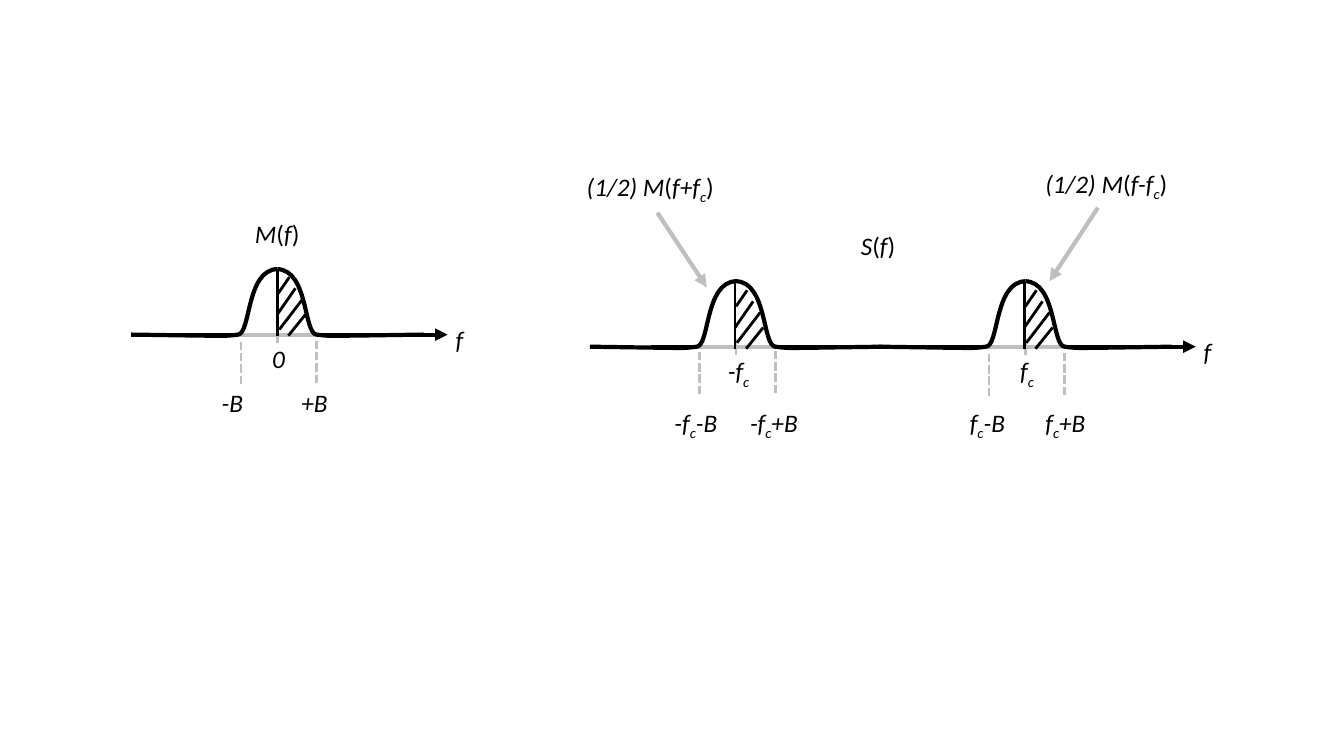
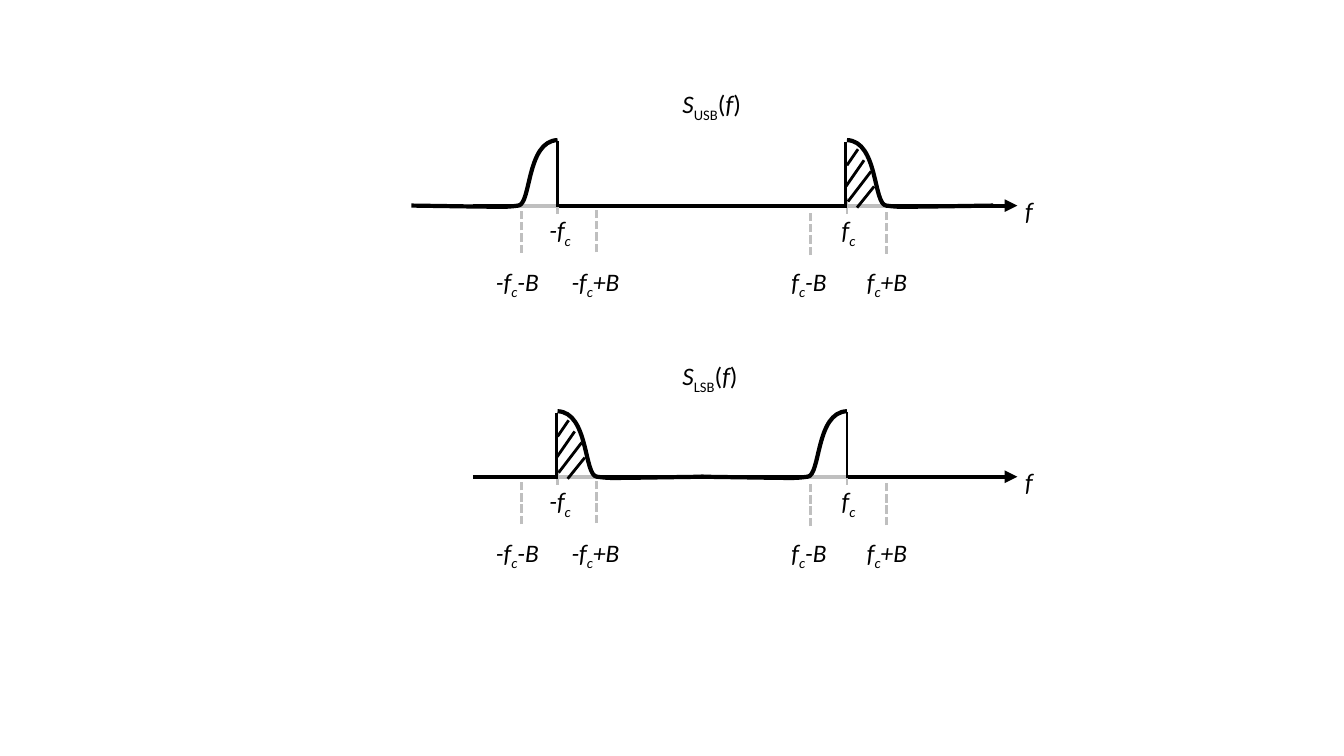
from lxml import etree
from pptx import Presentation
from pptx.dml.color import RGBColor
from pptx.enum import dml, shapes, text
from pptx.oxml import ns
from pptx.util import Inches, Pt

BLACK = RGBColor(0, 0, 0)
GRAY = RGBColor(0xBF, 0xBF, 0xBF)
LEFT, RIGHT = -1, 1
LABEL_HEIGHT = 0.4

# Half of a lobe, as distances from its centre (outwards, downwards)
OUTLINE = [(1.45, 0), (0.77, 0.01), (0.39, 0), (0, -0.65)]
# Bézier control points of the last two outline segments
CONTROLS = [
    [(0.59, 0.01), (0.53, 0.02)],
    [(0.26, -0.01), (0.31, -0.64)],
]
HATCHING = [
    ((0.01, -0.41), (0.12, -0.57)),
    ((0, -0.2), (0.18, -0.46)),
    ((0.02, -0.05), (0.25, -0.35)),
    ((0.11, 0.01), (0.28, -0.2)),
]

# Labels are lists of (words, style); the plain style is italic
F = ("f", "")
OPEN, CLOSE = ("(", "upright"), (")", "upright")
SUB_C = ("c", "sub")
ZERO = [("0", "")]
MINUS_FC = [("-f", ""), SUB_C]
PLUS_FC = [F, SUB_C]


def draw_line(page, start, end, color=BLACK, width=2, dash=None, arrow=False):
    ends = [Inches(value) for value in (*start, *end)]
    connector = page.shapes.add_connector(shapes.MSO_CONNECTOR.STRAIGHT, *ends)
    connector.line.color.rgb = color
    connector.line.width = Pt(width)
    if dash:
        connector.line.dash_style = dash
    if arrow:
        outline = connector.line._get_or_add_ln()
        etree.SubElement(outline, ns.qn("a:tailEnd"), type="triangle")
    etree.SubElement(connector._element.spPr, ns.qn("a:effectLst"))


def write(page, left, top, width, label, wrap=False):
    box = page.shapes.add_textbox(
        Inches(left), Inches(top), Inches(width), Inches(LABEL_HEIGHT))
    box.text_frame.word_wrap = wrap
    box.text_frame.auto_size = text.MSO_AUTO_SIZE.SHAPE_TO_FIT_TEXT
    para = box.text_frame.paragraphs[0]
    for words, style in label:
        span = para.add_run()
        span.text = words
        formats = {"name": "Calibri", "size": Pt(18), "italic": "upright" not in style}
        for name, value in formats.items():
            setattr(span.font, name, value)
        span.font.color.rgb = BLACK
        if "sub" in style:
            span._r.get_or_add_rPr().set("baseline", "-25000")


deck = Presentation()
deck.slide_width, deck.slide_height = Inches(13.33), Inches(7.5)
spectra_page, sideband_page = [
    deck.slides.add_slide(deck.slide_layouts[6]) for _ in range(2)]

# Each lobe: centre, carrier label, sides drawn
BOTH = (LEFT, RIGHT)
spectra = [
    {"page": spectra_page, "axis": (1.3, 4.44, 3.32),
     "title": (2.43, 2.12, 0.65, [("M", ""), OPEN, F, CLOSE]),
     "lobes": [(2.75, ZERO, BOTH)]},
    {"page": spectra_page, "axis": (6.46, 11.86, 3.44),
     "title": (8.44, 2.24, 0.55, [("S", ""), OPEN, F, CLOSE]),
     "lobes": [(7.3, MINUS_FC, BOTH), (10.17, PLUS_FC, BOTH)]},
    {"page": sideband_page, "axis": (4.69, 10.09, 2.04),
     "title": (6.67, 0.83, 0.82,
               [("S", ""), ("USB", "upright sub"), OPEN, F, CLOSE]),
     "lobes": [(5.53, MINUS_FC, (LEFT,)), (8.4, PLUS_FC, (RIGHT,))]},
    {"page": sideband_page, "axis": (4.69, 10.09, 4.73),
     "title": (6.67, 3.53, 0.79,
               [("S", ""), ("LSB", "upright sub"), OPEN, F, CLOSE]),
     "lobes": [(5.53, MINUS_FC, (RIGHT,)), (8.4, PLUS_FC, (LEFT,))]},
]

for spectrum in spectra:
    page = spectrum["page"]
    axis_start, axis_end, axis_y = spectrum["axis"]
    write(page, *spectrum["title"])
    draw_line(page, (axis_start, axis_y), (axis_end, axis_y), width=3, arrow=True)
    write(page, axis_end - 0.02, axis_y - 0.15, 0.28, [F])

    for center, carrier, sides in spectrum["lobes"]:
        base_start = center - (0.39 if LEFT in sides else 0)
        base_end = center + (0.39 if RIGHT in sides else 0)
        draw_line(page, (base_start, axis_y), (base_end, axis_y), GRAY, 3)
        draw_line(page, (center, axis_y + 0.08), (center, axis_y - 0.08), GRAY)

        for side in sides:
            points = [(Inches(center + side * x), Inches(axis_y + y))
                      for x, y in OUTLINE]
            builder = page.shapes.build_freeform(*points[0])
            builder.add_line_segments(points[1:], close=False)
            half = builder.convert_to_shape()
            segments = half._element.xpath(".//a:lnTo")[1:]
            for segment, controls in zip(segments, CONTROLS):
                segment.tag = ns.qn("a:cubicBezTo")
                for i, (x, y) in enumerate(controls):
                    point = etree.Element(
                        ns.qn("a:pt"),
                        x=str(Inches(center + side * x) - half.left),
                        y=str(Inches(axis_y + y) - half.top))
                    segment.insert(i, point)
            half.shadow.inherit = False
            half.fill.background()
            half.line.color.rgb = BLACK
            half.line.width = Pt(3)

        # Divider and hatching sit slightly off the centre of a shifted lobe
        hatched = RIGHT in sides
        nudge = 0.01 if hatched and carrier is not ZERO else 0
        hatch_x, hatch_y = center - nudge, axis_y + nudge
        draw_line(page, (hatch_x, hatch_y + 0.01), (hatch_x, hatch_y - 0.64))
        if hatched:
            for start, end in HATCHING:
                draw_line(page, (hatch_x + start[0], hatch_y + start[1]),
                          (hatch_x + end[0], hatch_y + end[1]))

        # Band edges and their labels
        dash_top = axis_y + (0.02 if carrier is MINUS_FC else 0.04)
        for x, y in ((center - 0.36, dash_top + 0.01), (center + 0.39, dash_top)):
            draw_line(page, (x, y + 0.44), (x, y), GRAY,
                      dash=dml.MSO_LINE.SQUARE_DOT)
        shift, width = (0.18, 0.42) if carrier is MINUS_FC else (0.15, 0.35)
        write(page, center - shift, axis_y + 0.04, width, carrier)
        if carrier is ZERO:
            write(page, center - 0.65, axis_y + 0.47, 0.42, [("-B", "")])
            write(page, center + 0.14, axis_y + 0.47, 0.46, [("+B", "")])
        else:
            edge_left = center - (0.71 if carrier is MINUS_FC else 0.65)
            for i, offset in enumerate(("-B", "+B")):
                write(page, edge_left + i * 0.75, axis_y + 0.55, 0.72,
                      carrier + [(offset, "")], wrap=True)

# Callouts: label place, sign, arrow start, arrow end
for left, top, width, sign, start, end in (
        (5.72, 1.65, 1.48, "+", (6.52, 2.11), (7.01, 2.85)),
        (10.27, 1.62, 1.43, "-", (10.89, 2.06), (10.41, 2.79))):
    write(spectra_page, left, top, width,
          [("(1/2) M", ""), OPEN, (f"f{sign}f", ""), SUB_C, CLOSE])
    draw_line(spectra_page, start, end, GRAY, 3, arrow=True)

deck.save("out.pptx")
